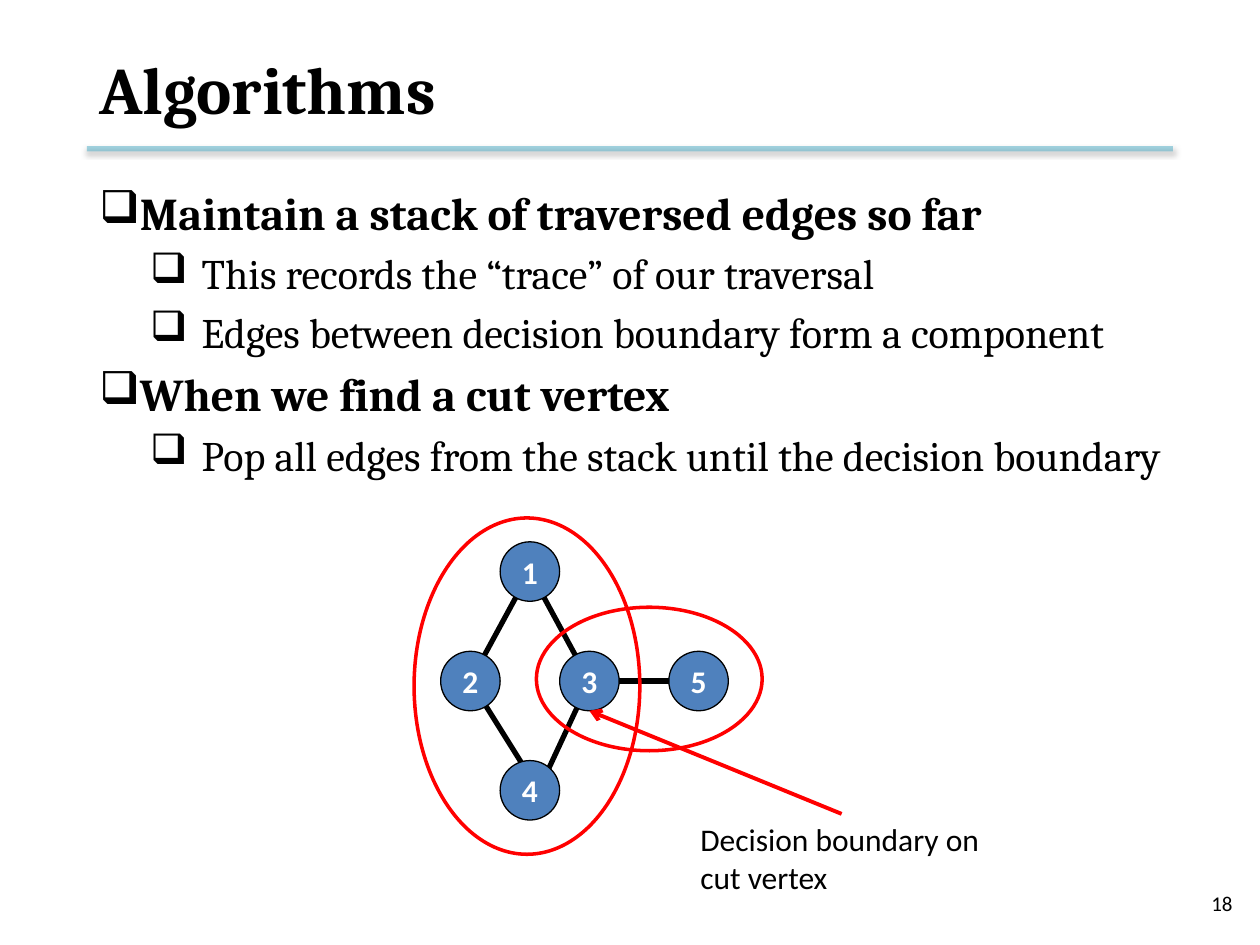
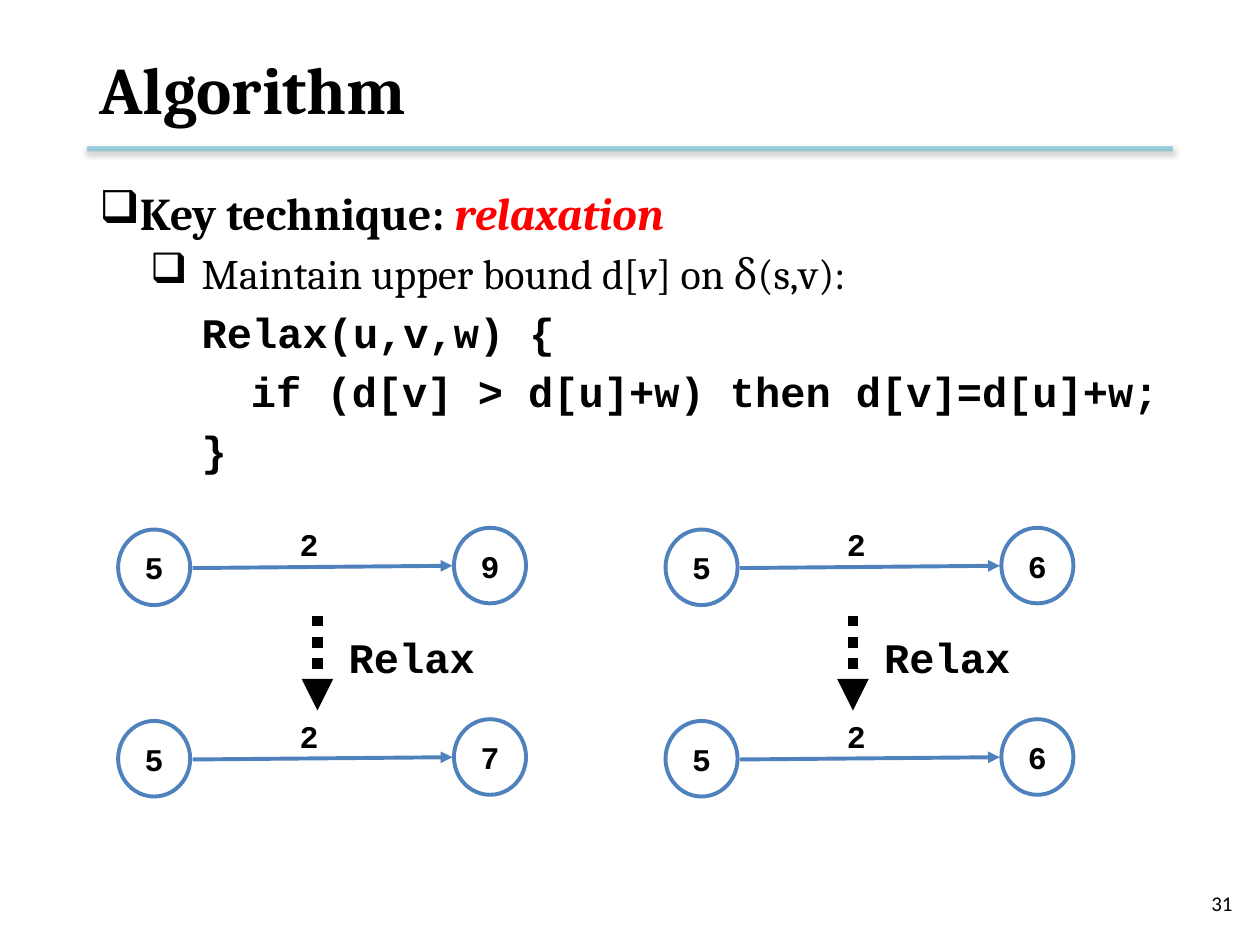
"""Build two slides on graph algorithms: cut vertices and edge relaxation."""
import lxml.etree
import pptx
import pptx.dml.color
import pptx.enum.dml
import pptx.enum.shapes
import pptx.enum.text
import pptx.oxml.ns
import pptx.util
from dataclasses import dataclass

Pt = pptx.util.Pt
ALIGN = pptx.enum.text.PP_ALIGN
MIDDLE = pptx.enum.text.MSO_ANCHOR.MIDDLE


@dataclass(frozen=True)
class Theme:
    black: str = "000000"
    white: str = "FFFFFF"
    red: str = "FF0000"
    blue: str = "4F81BD"
    band: str = "4BACC6"
    serif: str = "Cambria"
    sans: str = "Calibri"
    mono: str = "Courier New"
    title: int = 38
    point: int = 26
    detail: int = 24
    label: int = 18
    number: int = 12


THEME = Theme()
MARGIN, CONTENT_WIDTH = 49.7, 620.6
INDENTS = {"point": (18, -32.4), "detail": (58.5, -29.5), "code": (58.5, -29.5)}

STACK = {
    "title": "Algorithms", "number": "18", "body_height": 414,
    "body": [
        ("point", [("Maintain a stack of traversed edges so far", "")]),
        ("detail", [("This records the “trace” of our traversal", "")]),
        ("detail", [("Edges between decision boundary form a component", "")]),
        ("point", [("When we find a cut vertex", "")]),
        ("detail", [("Pop all edges from the stack until the decision boundary", "")]),
    ],
}
RELAXATION = {
    "title": "Algorithm", "number": "31", "body_height": 367.2,
    "body": [
        ("point", [("Key technique: ", ""), ("relaxation", "red italic")]),
        ("detail", [("Maintain upper bound d[", ""), ("v", "italic"), ("] on δ(s,v):", "")]),
        ("code", [("\tRelax(u,v,w) {", "")]),
        ("code", [("    if (d[v] > d[u]+w) then d[v]=d[u]+w;", "")]),
        ("code", [("\t}", "")]),
    ],
}

NODE_SIZE = 34
NODES = {"1": (302.8, 326.6), "2": (268.8, 389.2), "3": (336.8, 389.2),
         "4": (302.8, 451.6), "5": (399.2, 389.2)}
EDGES = ["53", "12", "13", "24", "34"]
EDGE_SHIFT_AT_4 = 5
COMPONENTS = [(236.6, 296, 129, 192.2), (306.5, 347, 129, 82)]
CAPTION = "Decision boundary on cut vertex"

CASES = [
    {"left": 67.5, "arrow": 181.4, "before": ("5", "9"), "after": ("5", "7")},
    {"left": 380.3, "arrow": 487.4, "before": ("5", "6"), "after": ("5", "6")},
]
WEIGHT = "2"
STEP_TOPS = (301.6, 411)
VALUE_SIZE = (41.2, 43.2)


def rgb(code):
    return pptx.dml.color.RGBColor.from_string(code)


def add_element(parent, tag, **attributes):
    return lxml.etree.SubElement(parent, pptx.oxml.ns.qn(tag), attributes)


def style_span(span, font, size, color=THEME.black, bold=False, italic=False):
    span.font.name, span.font.size = font, Pt(size)
    span.font.bold, span.font.italic = bold, italic
    span.font.color.rgb = rgb(color)


def write(box, text, font, size, color=THEME.black, bold=False, align=ALIGN.LEFT,
          anchor=MIDDLE, wrap=True):
    frame = box.text_frame
    frame.text = text
    frame.word_wrap, frame.vertical_anchor = wrap, anchor
    para = frame.paragraphs[0]
    para.alignment = align
    style_span(para.runs[0], font, size, color, bold)


def add_text(shapes, area, text, font, size, **style):
    box = shapes.add_textbox(*map(Pt, area))
    write(box, text, font, size, **style)
    return box


def add_ellipse(shapes, area, line, width, fill=None):
    ellipse = shapes.add_shape(pptx.enum.shapes.MSO_SHAPE.OVAL, *map(Pt, area))
    ellipse.shadow.inherit = False
    if fill:
        ellipse.fill.solid()
        ellipse.fill.fore_color.rgb = rgb(fill)
    else:
        ellipse.fill.background()
    ellipse.line.color.rgb, ellipse.line.width = rgb(line), Pt(width)
    return ellipse


def add_line(shapes, start, end, color, width, head=None, dash=None):
    line = shapes.add_connector(pptx.enum.shapes.MSO_CONNECTOR.STRAIGHT,
                                *map(Pt, (*start, *end)))
    line.line.color.rgb, line.line.width = rgb(color), Pt(width)
    if dash:
        line.line.dash_style = dash
    if head:
        add_element(line.line._get_or_add_ln(), "a:tailEnd", type=head)
    add_element(line._element.spPr, "a:effectLst")
    return line


def add_band(page):
    band = add_line(page.shapes, (MARGIN, 85), (MARGIN + CONTENT_WIDTH, 85), THEME.band, 3)
    properties = band._element.spPr
    color = properties.find(".//" + pptx.oxml.ns.qn("a:srgbClr"))
    add_element(color, "a:alpha", val="50000")
    shadow = add_element(properties.find(pptx.oxml.ns.qn("a:effectLst")), "a:outerShdw",
                         blurRad=str(Pt(3.1)), dist=str(Pt(1.6)), dir="5400000",
                         rotWithShape="0")
    add_element(add_element(shadow, "a:srgbClr", val=THEME.black), "a:alpha", val="38000")


def add_body(page, content):
    box = page.shapes.add_textbox(*map(Pt, (MARGIN, 102.2, CONTENT_WIDTH,
                                            content["body_height"])))
    frame = box.text_frame
    frame.word_wrap = True
    for index, (kind, pieces) in enumerate(content["body"]):
        para = frame.add_paragraph() if index else frame.paragraphs[0]
        para.level = 0 if kind == "point" else 1
        properties = para._p.get_or_add_pPr()
        margin, indent = INDENTS[kind]
        properties.set("marL", str(Pt(margin)))
        properties.set("indent", str(Pt(indent)))
        if index:
            add_element(add_element(properties, "a:spcBef"), "a:spcPct", val="20000")
        if kind == "code":
            add_element(properties, "a:buNone")
        else:
            add_element(properties, "a:buChar", char="❑")
        for text, marks in pieces:
            span = para.add_run()
            span.text = text
            style_span(span, THEME.mono if kind == "code" else THEME.serif,
                       THEME.point if kind == "point" else THEME.detail,
                       THEME.red if "red" in marks else THEME.black,
                       kind != "detail", "italic" in marks)


def add_page(deck, content):
    page = deck.slides.add_slide(deck.slide_layouts[6])
    add_band(page)
    add_text(page.shapes, (543.6, 501.8, 167.8, 28.8), content["number"], THEME.sans,
             THEME.number, align=ALIGN.RIGHT)
    add_text(page.shapes, (MARGIN, 12.2, CONTENT_WIDTH, 76.3), content["title"],
             THEME.serif, THEME.title, bold=True)
    add_body(page, content)
    return page


def draw_graph(shapes):
    for first, second in EDGES:
        x, y = NODES[second]
        end = (x + EDGE_SHIFT_AT_4 if second == "4" else x, y)
        add_line(shapes, NODES[first], end, THEME.black, 3)
    for name, (x, y) in NODES.items():
        area = (x - NODE_SIZE / 2, y - NODE_SIZE / 2, NODE_SIZE, NODE_SIZE)
        node = add_ellipse(shapes, area, THEME.black, 0.75, THEME.blue)
        write(node, name, THEME.sans, THEME.label, THEME.white, True, ALIGN.CENTER, wrap=False)
    for area in COMPONENTS:
        add_ellipse(shapes, area, THEME.red, 2)
    caption = add_text(shapes, (393.1, 465.1, 175.7, 51.1), CAPTION, THEME.sans, THEME.label,
                       anchor=pptx.enum.text.MSO_ANCHOR.TOP)
    cut_x, cut_y = NODES["3"]
    pointer = add_line(shapes, (481, 465.1), (cut_x, cut_y + NODE_SIZE / 2),
                       THEME.red, 2.25, "arrow")
    pointer.begin_connect(caption, 0)


def draw_step(shapes, left, top, values):
    for value, x, y in zip(values, (left, left + 191.9), (top + 1, top)):
        circle = add_ellipse(shapes, (x, y, *VALUE_SIZE), THEME.blue, 2.25, THEME.white)
        write(circle, value, THEME.mono, THEME.label, bold=True, align=ALIGN.CENTER)
    add_line(shapes, (left + 42.6, top + 23), (left + 191, top + 21.7),
             THEME.blue, 2.25, "triangle")
    add_text(shapes, (left + 95.8, top - 5, 26.6, 31), WEIGHT, THEME.mono, THEME.label,
             bold=True, align=ALIGN.CENTER, anchor=pptx.enum.text.MSO_ANCHOR.TOP, wrap=False)


def draw_case(page, case):
    shapes = page.shapes.add_group_shape().shapes
    for top, moment in zip(STEP_TOPS, ("before", "after")):
        draw_step(shapes, case["left"], top, case[moment])
    add_line(shapes, (case["arrow"], 352), (case["arrow"], 406), THEME.black, 6, "triangle",
             pptx.enum.dml.MSO_LINE.ROUND_DOT)
    add_text(shapes, (case["arrow"] + 10.8, 357.1, 86.4, 36), "Relax", THEME.mono,
             THEME.detail, bold=True, anchor=pptx.enum.text.MSO_ANCHOR.TOP, wrap=False)


def main():
    deck = pptx.Presentation()
    deck.slide_width, deck.slide_height = Pt(720), Pt(540)
    draw_graph(add_page(deck, STACK).shapes)
    relaxation = add_page(deck, RELAXATION)
    for case in CASES:
        draw_case(relaxation, case)
    deck.save("out.pptx")


if __name__ == "__main__":
    main()
